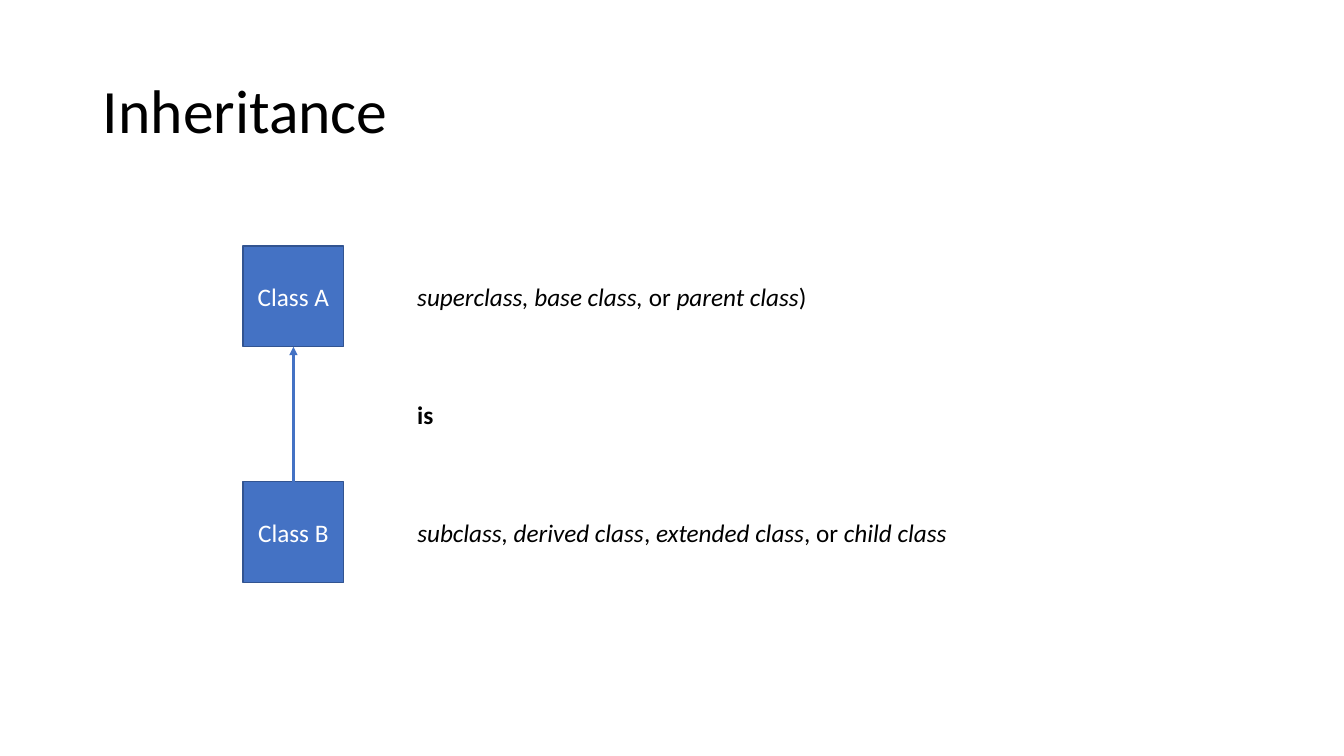
import pptx
import pptx.util
import pptx.dml.color
import pptx.enum.shapes
import pptx.enum.text
import pptx.oxml.ns
import lxml.etree
from pptx.util import Inches

BLACK = pptx.dml.color.RGBColor(0x00, 0x00, 0x00)
WHITE = pptx.dml.color.RGBColor(0xFF, 0xFF, 0xFF)
BLUE = pptx.dml.color.RGBColor(0x44, 0x72, 0xC4)
DARK_BLUE = pptx.dml.color.RGBColor(0x32, 0x54, 0x91)
FONT = "Calibri"
BODY_SIZE = 18
CLASS_LEFT = 2.41
CLASS_SIZE = 1
LABEL_LEFT = 4.04
LABEL_HEIGHT = 0.4
SUPERCLASS_TOP = 2.44
SUBCLASS_TOP = 4.78


def format_span(span, size, color, style=""):
    span.font.name = FONT
    span.font.size = pptx.util.Pt(size)
    span.font.color.rgb = color
    span.font.bold = style == "bold"
    span.font.italic = style == "italic"


def set_title(page, text):
    title = page.shapes.title
    title.left, title.top = Inches(0.92), Inches(0.4)
    title.width, title.height = Inches(11.5), Inches(1.45)
    frame = title.text_frame
    frame.text = text
    frame.vertical_anchor = pptx.enum.text.MSO_ANCHOR.MIDDLE
    para = frame.paragraphs[0]
    para.alignment = pptx.enum.text.PP_ALIGN.LEFT
    para.line_spacing = 0.9
    format_span(para.runs[0], 44, BLACK)


def add_class(page, name, top):
    box = page.shapes.add_shape(
        pptx.enum.shapes.MSO_SHAPE.RECTANGLE,
        Inches(CLASS_LEFT), Inches(top), Inches(CLASS_SIZE), Inches(CLASS_SIZE))
    box.shadow.inherit = False
    box.fill.solid()
    box.fill.fore_color.rgb = BLUE
    box.line.color.rgb = DARK_BLUE
    box.line.width = pptx.util.Pt(1)
    frame = box.text_frame
    frame.text = name
    frame.vertical_anchor = pptx.enum.text.MSO_ANCHOR.MIDDLE
    para = frame.paragraphs[0]
    para.alignment = pptx.enum.text.PP_ALIGN.CENTER
    format_span(para.runs[0], BODY_SIZE, WHITE)
    return box


def add_inheritance_arrow(page, subclass, superclass):
    arrow = page.shapes.add_connector(
        pptx.enum.shapes.MSO_CONNECTOR.STRAIGHT, 0, 0, 0, 0)
    arrow.begin_connect(subclass, 0)
    arrow.end_connect(superclass, 2)
    arrow.line.color.rgb = BLUE
    arrow.line.width = pptx.util.Pt(2)
    properties = arrow._element.spPr
    line = properties.find(pptx.oxml.ns.qn("a:ln"))
    lxml.etree.SubElement(line, pptx.oxml.ns.qn("a:tailEnd"), type="triangle")
    lxml.etree.SubElement(properties, pptx.oxml.ns.qn("a:effectLst"))


def add_label(page, middle, width, parts):
    box = page.shapes.add_textbox(
        Inches(LABEL_LEFT), Inches(middle - LABEL_HEIGHT / 2),
        Inches(width), Inches(LABEL_HEIGHT))
    frame = box.text_frame
    frame.word_wrap = False
    frame.auto_size = pptx.enum.text.MSO_AUTO_SIZE.SHAPE_TO_FIT_TEXT
    para = frame.paragraphs[0]
    for text, style in parts:
        span = para.add_run()
        span.text = text
        format_span(span, BODY_SIZE, BLACK, style)


def main():
    deck = pptx.Presentation()
    deck.slide_width = Inches(13.33)
    deck.slide_height = Inches(7.5)
    page = deck.slides.add_slide(deck.slide_layouts.get_by_name("Title Only"))
    set_title(page, "Inheritance")

    superclass = add_class(page, "Class A", SUPERCLASS_TOP)
    subclass = add_class(page, "Class B", SUBCLASS_TOP)
    add_inheritance_arrow(page, subclass, superclass)

    superclass_middle = SUPERCLASS_TOP + CLASS_SIZE / 2
    subclass_middle = SUBCLASS_TOP + CLASS_SIZE / 2
    add_label(page, superclass_middle, 4.1, [
        ("superclass, base class,", "italic"), ("\u00a0or ", ""),
        ("parent class", "italic"), (")", "")])
    add_label(page, subclass_middle, 5.52, [
        ("subclass, derived class", "italic"), (",\u00a0", ""),
        ("extended class", "italic"), (", or\u00a0", ""),
        ("child class", "italic")])
    add_label(page, (superclass_middle + subclass_middle) / 2, 0.36, [("is", "bold")])

    deck.save("out.pptx")


main()
